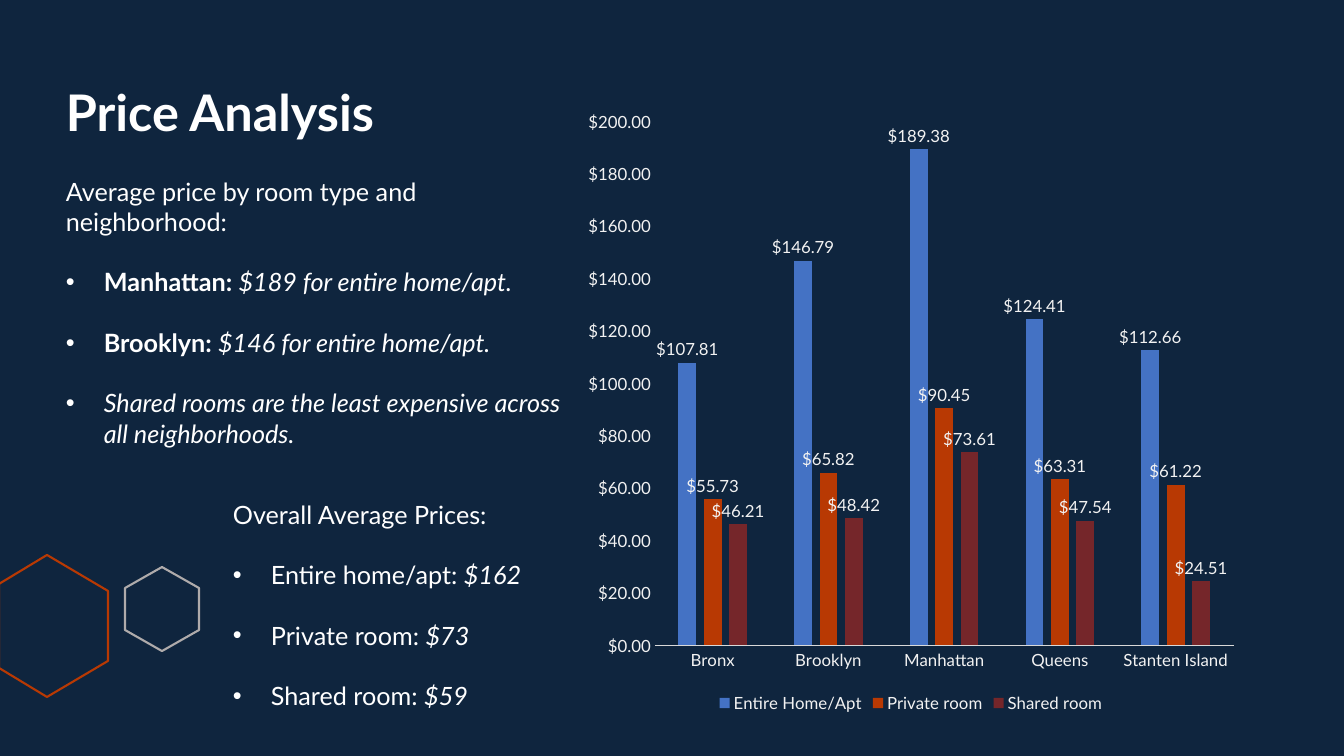
from dataclasses import dataclass

from lxml import etree
from pptx import Presentation
from pptx import util as u
from pptx.chart import data as chart_data
from pptx.dml.color import RGBColor
from pptx.enum import chart as charts
from pptx.enum import text
from pptx.oxml import ns

PX = 12192000 / 1344  # EMU per px


def px(length):
    return u.Emu(round(length * PX))


@dataclass(frozen=True)
class Theme:
    font: str = "Lato"
    background: str = "0F253E"
    white: str = "FFFFFF"
    label: str = "F2F2F2"
    axis: str = "D9D9D9"
    gray: str = "AFABAB"
    orange: str = "B83903"
    series: tuple = ("4472C4", "B83903", "75262A")
    title_size: int = 36
    body_size: int = 18
    chart_size: int = 12
    paragraph_gap: float = 21.6
    bullet_indent: int = 38


class SlideBuilder:
    def __init__(self, slide, theme):
        self.slide, self.theme = slide, theme
        fill = slide.background.fill
        fill.solid()
        fill.fore_color.rgb = RGBColor.from_string(theme.background)

    def style(self, font, size, color, bold=None, italic=None):
        font.name, font.size = self.theme.font, u.Pt(size)
        font.color.rgb = RGBColor.from_string(color)
        font.bold, font.italic = bold, italic

    def outline(self, points, color):
        builder = self.slide.shapes.build_freeform(*points[0], scale=PX)
        builder.add_line_segments(points[1:], close=True)
        hexagon = builder.convert_to_shape()
        hexagon.shadow.inherit = False
        hexagon.fill.background()
        hexagon.line.color.rgb = RGBColor.from_string(color)
        hexagon.line.width = u.Pt(1.5)

    def frame(self, box, anchor):
        frame = self.slide.shapes.add_textbox(*map(px, box)).text_frame
        frame.word_wrap = True
        frame.vertical_anchor = anchor
        return frame

    def title(self, box, wording):
        frame = self.frame(box, text.MSO_ANCHOR.BOTTOM)
        frame.text = wording
        heading = frame.paragraphs[0]
        heading.line_spacing = 0.9
        self.style(heading.runs[0].font, self.theme.title_size, self.theme.white, bold=True)

    def bullet_list(self, box, intro, items):
        """Each item is a list of (wording, bold, italic) pieces."""
        frame = self.frame(box, text.MSO_ANCHOR.MIDDLE)
        frame.text = intro
        self.style(frame.paragraphs[0].runs[0].font, self.theme.body_size, self.theme.white)
        for pieces in items:
            item = frame.add_paragraph()
            item.space_before = u.Pt(self.theme.paragraph_gap)
            indent = px(self.theme.bullet_indent)
            props = item._p.get_or_add_pPr()
            props.set("marL", str(indent))
            props.set("indent", str(-indent))
            etree.SubElement(props, ns.qn("a:buFont")).set("typeface", "Arial")
            etree.SubElement(props, ns.qn("a:buChar")).set("char", "•")
            for wording, bold, italic in pieces:
                run = item.add_run()
                run.text = wording
                self.style(run.font, self.theme.body_size, self.theme.white, bold, italic)

    def column_chart(self, box, categories, series, number_format):
        theme = self.theme
        prices = chart_data.CategoryChartData(number_format=number_format)
        prices.categories = categories
        for name, values in series.items():
            prices.add_series(name, values)
        chart = self.slide.shapes.add_chart(
            charts.XL_CHART_TYPE.COLUMN_CLUSTERED, *map(px, box), prices).chart
        self.style(chart.font, theme.chart_size, theme.label)
        chart.has_title = False
        chart.has_legend = True
        chart.legend.position = charts.XL_LEGEND_POSITION.BOTTOM
        chart.legend.include_in_layout = False
        self.style(chart.legend.font, theme.chart_size, theme.label)

        # Axes
        for axis in (chart.category_axis, chart.value_axis):
            axis.has_major_gridlines = False
            axis.major_tick_mark = axis.minor_tick_mark = charts.XL_TICK_MARK.NONE
            self.style(axis.tick_labels.font, theme.chart_size, theme.label)
        baseline = chart.category_axis.format.line
        baseline.color.rgb = RGBColor.from_string(theme.axis)
        baseline.width = u.Pt(0.75)
        scale = chart.value_axis
        scale.format.line.fill.background()
        scale.minimum_scale, scale.maximum_scale, scale.major_unit = 0, 200, 20
        scale.tick_labels.number_format = number_format
        scale.tick_labels.number_format_is_linked = False

        # Columns and their labels
        plot = chart.plots[0]
        plot.vary_by_categories = False
        plot.gap_width, plot.overlap = 267, -43
        for columns, color in zip(plot.series, theme.series):
            columns.format.fill.solid()
            columns.format.fill.fore_color.rgb = RGBColor.from_string(color)
            labels = columns.data_labels
            labels.show_value = True
            labels.position = charts.XL_LABEL_POSITION.OUTSIDE_END
            labels.number_format = number_format
            labels.number_format_is_linked = False
            self.style(labels.font, theme.chart_size, theme.label)


def main():
    deck = Presentation()
    deck.slide_width, deck.slide_height = px(1344), px(756)
    theme = Theme()
    page = SlideBuilder(deck.slides.add_slide(deck.slide_layouts[6]), theme)

    # Decorative hexagons, the larger one cut by the slide edge
    page.outline([(47, 555), (108, 591), (108, 661), (47, 697), (-1, 668), (-1, 584)],
                 theme.orange)
    page.outline([(162, 567), (199, 588), (199, 630), (162, 651), (125, 630), (125, 588)],
                 theme.gray)

    # Findings
    page.title((56, 38, 484, 109), "Price Analysis")
    page.bullet_list(
        (56, 169, 519, 286), "Average price by room type and neighborhood:",
        [[("Manhattan: ", True, False), ("$189 for entire home/apt.", False, True)],
         [("Brooklyn: ", True, False), ("$146 for entire home/apt.", False, True)],
         [("Shared rooms are the least expensive across all neighborhoods.", False, True)]])
    averages = {"Entire home/apt": "$162", "Private room": "$73", "Shared room": "$59"}
    page.bullet_list(
        (223, 493, 333, 224), "Overall Average Prices:",
        [[(f"{room}: ", False, False), (price, False, True)]
         for room, price in averages.items()])

    # Prices by neighborhood
    page.column_chart(
        (575, 99, 672, 618),
        ["Bronx", "Brooklyn", "Manhattan", "Queens", "Stanten Island"],
        {"Entire Home/Apt": (107.81, 146.79, 189.38, 124.41, 112.66),
         "Private room": (55.73, 65.82, 90.45, 63.31, 61.22),
         "Shared room": (46.21, 48.42, 73.61, 47.54, 24.51)},
        '"$"#,##0.00')

    deck.save("out.pptx")


if __name__ == "__main__":
    main()
